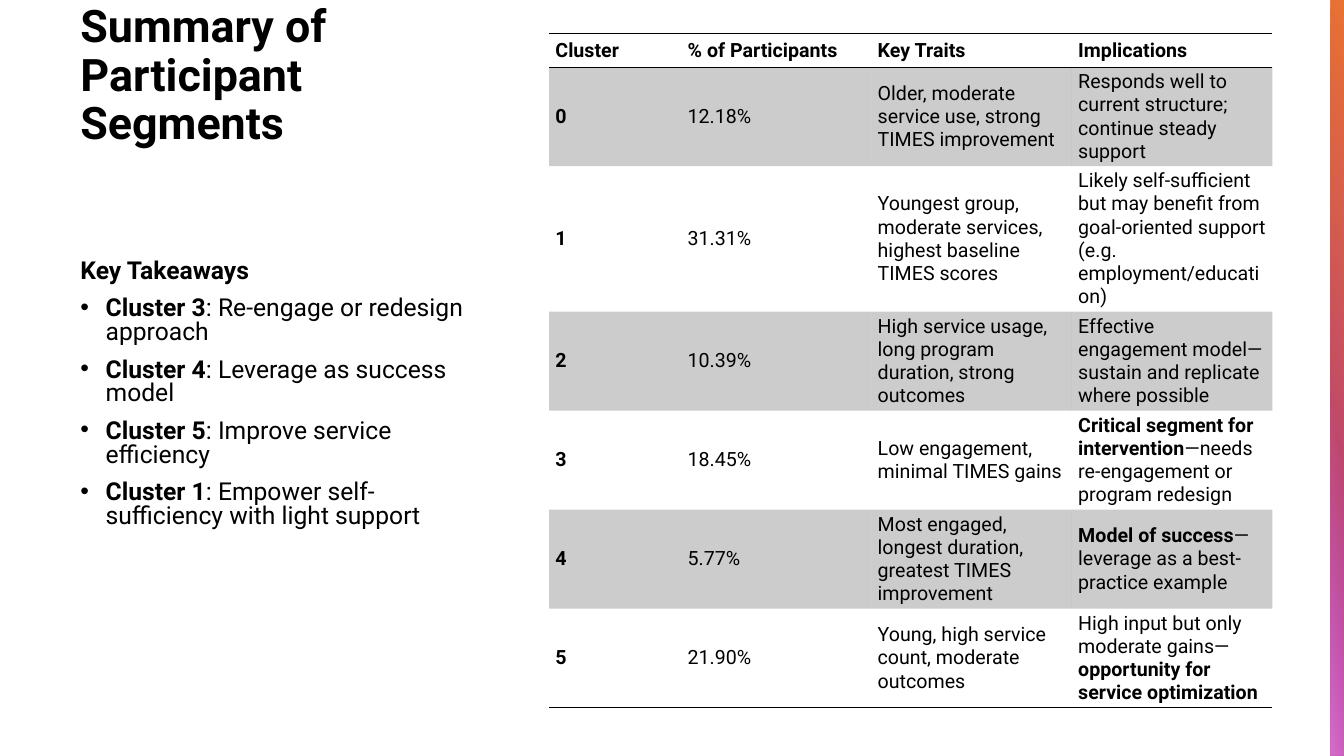
"""Build the participant segment summary slide with its cluster table."""
from lxml.etree import SubElement
from pptx import Presentation
from pptx.dml.color import RGBColor
from pptx.enum.shapes import MSO_SHAPE
from pptx.enum.text import MSO_ANCHOR, MSO_AUTO_SIZE, PP_ALIGN
from pptx.oxml import parse_xml
from pptx.oxml.ns import nsdecls, qn
from pptx.util import Pt

PX = 9525
FONT = "Roboto"
BLACK = RGBColor(0x00, 0x00, 0x00)
ORANGE = RGBColor(0xE9, 0x71, 0x32)
PURPLE = RGBColor(0xA0, 0x2B, 0x93)
PINK = RGBColor(0xD8, 0x6E, 0xCC)
NO_STYLE = "{2D5ABB26-0587-4C30-8999-92F81FD0307C}"

TAKEAWAYS = [
    "**Key Takeaways**",
    "**Cluster 3**: Re-engage or redesign approach",
    "**Cluster 4**: Leverage as success model",
    "**Cluster 5**: Improve service efficiency",
    "**Cluster 1**: Empower self-sufficiency with light support",
]
ROWS = [
    ("**Cluster**", "**% of Participants**", "**Key Traits**", "**Implications**"),
    ("**0**", "12.18%", "Older, moderate service use, strong TIMES improvement",
     "Responds well to current structure; continue steady support"),
    ("**1**", "31.31%", "Youngest group, moderate services, highest baseline TIMES scores",
     "Likely self-sufficient but may benefit from goal-oriented support "
     "(e.g. employment/education)"),
    ("**2**", "10.39%", "High service usage, long program duration, strong outcomes",
     "Effective engagement model—sustain and replicate where possible"),
    ("**3**", "18.45%", "Low engagement, minimal TIMES gains",
     "**Critical segment for intervention**—needs re-engagement or program redesign"),
    ("**4**", "5.77%", "Most engaged, longest duration, greatest TIMES improvement",
     "**Model of success**—leverage as a best-practice example"),
    ("**5**", "21.90%", "Young, high service count, moderate outcomes",
     "High input but only moderate gains—**opportunity for service optimization**"),
]
COL_WIDTHS = [126, 181, 191, 191]
ROW_HEIGHTS = [32, 94, 138, 94, 94, 94, 94]


def write(p, text, size):
    """Fill a paragraph, with bold between double asterisks."""
    p.font.name, p.font.size, p.font.color.rgb = FONT, Pt(size), BLACK
    p.alignment = PP_ALIGN.LEFT
    for i, part in enumerate(text.split("**")):
        if part:
            r = p.add_run()
            r.text = part
            r.font.bold = i % 2 == 1


def place(sp, left, top, width, height):
    """Move and size a shape in px."""
    sp.left, sp.top, sp.width, sp.height = (n * PX for n in (left, top, width, height))


prs = Presentation()
prs.slide_width, prs.slide_height = 1280 * PX, 720 * PX
s = prs.slides.add_slide(prs.slide_layouts[1])

title, body = s.placeholders
place(title, 67, 36, 412, 111)
place(body, 67, 243, 388, 292)
for sp, anchor in ((title, MSO_ANCHOR.BOTTOM), (body, MSO_ANCHOR.TOP)):
    sp.text_frame.auto_size = MSO_AUTO_SIZE.NONE
    sp.text_frame.word_wrap = True
    sp.text_frame.vertical_anchor = anchor

p = title.text_frame.paragraphs[0]
p.line_spacing = 0.9
write(p, "**Summary of Participant Segments**", 32)

tf = body.text_frame
for i, text in enumerate(TAKEAWAYS):
    p = tf.add_paragraph() if i else tf.paragraphs[0]
    p.line_spacing, p.space_before = 0.8, Pt(10)
    write(p, text, 17.6)
    pPr = p._p.get_or_add_pPr()
    pPr.set("marL", str(24 * PX))
    pPr.set("indent", str(-24 * PX))
    bullet = '<a:buChar %s char="•"/>' if i else "<a:buNone %s/>"
    pPr.find(qn("a:defRPr")).addprevious(parse_xml(bullet % nsdecls("a")))

for top, height, angle, start, colors in (
    (0, 720, 30, 0, (ORANGE, PURPLE)),
    (371, 349, 10, 0.19, (PINK, PINK)),
):
    bar = s.shapes.add_shape(MSO_SHAPE.RECTANGLE, 0, 0, PX, PX)
    place(bar, 1267, top, 13, height)
    bar.shadow.inherit = False
    bar.line.fill.background()
    bar.fill.gradient()
    bar.fill.gradient_angle = 360 - angle
    for stop, color, position in zip(bar.fill.gradient_stops, colors, (start, 1)):
        stop.color.rgb, stop.position = color, position
    bar._element.spPr.xfrm.set("flipH", "1")
first_stop = next(bar._element.spPr.iter(qn("a:srgbClr")))
SubElement(first_stop, qn("a:alpha")).set("val", "0")

frame = s.shapes.add_table(len(ROWS), len(COL_WIDTHS), 523 * PX, 32 * PX,
                           sum(COL_WIDTHS) * PX, sum(ROW_HEIGHTS) * PX)
table = frame.table
table.first_row = table.horz_banding = False
table._tbl.tblPr.find(qn("a:tableStyleId")).text = NO_STYLE
for column, width in zip(table.columns, COL_WIDTHS):
    column.width = width * PX
for row, height in zip(table.rows, ROW_HEIGHTS):
    row.height = height * PX

for i, texts in enumerate(ROWS):
    for cell, text in zip(table.rows[i].cells, texts):
        cell.margin_left = cell.margin_right = 6 * PX
        cell.margin_top = cell.margin_bottom = 3 * PX
        cell.vertical_anchor = MSO_ANCHOR.MIDDLE
        write(cell.text_frame.paragraphs[0], text, 14)
        tcPr = cell._tc.get_or_add_tcPr()
        if i % 2:
            cell.fill.solid()
            cell.fill.fore_color.rgb = BLACK
            SubElement(next(tcPr.iter(qn("a:srgbClr"))), qn("a:alpha")).set("val", "20000")
        else:
            cell.fill.background()
        edges = {0: ("lnB", "lnT"), len(ROWS) - 1: ("lnB",)}.get(i, ())
        for edge in edges:
            tcPr.insert(0, parse_xml(
                f'<a:{edge} {nsdecls("a")} w="12700"><a:solidFill>'
                f'<a:srgbClr val="{BLACK}"/></a:solidFill></a:{edge}>'))

prs.save("out.pptx")
